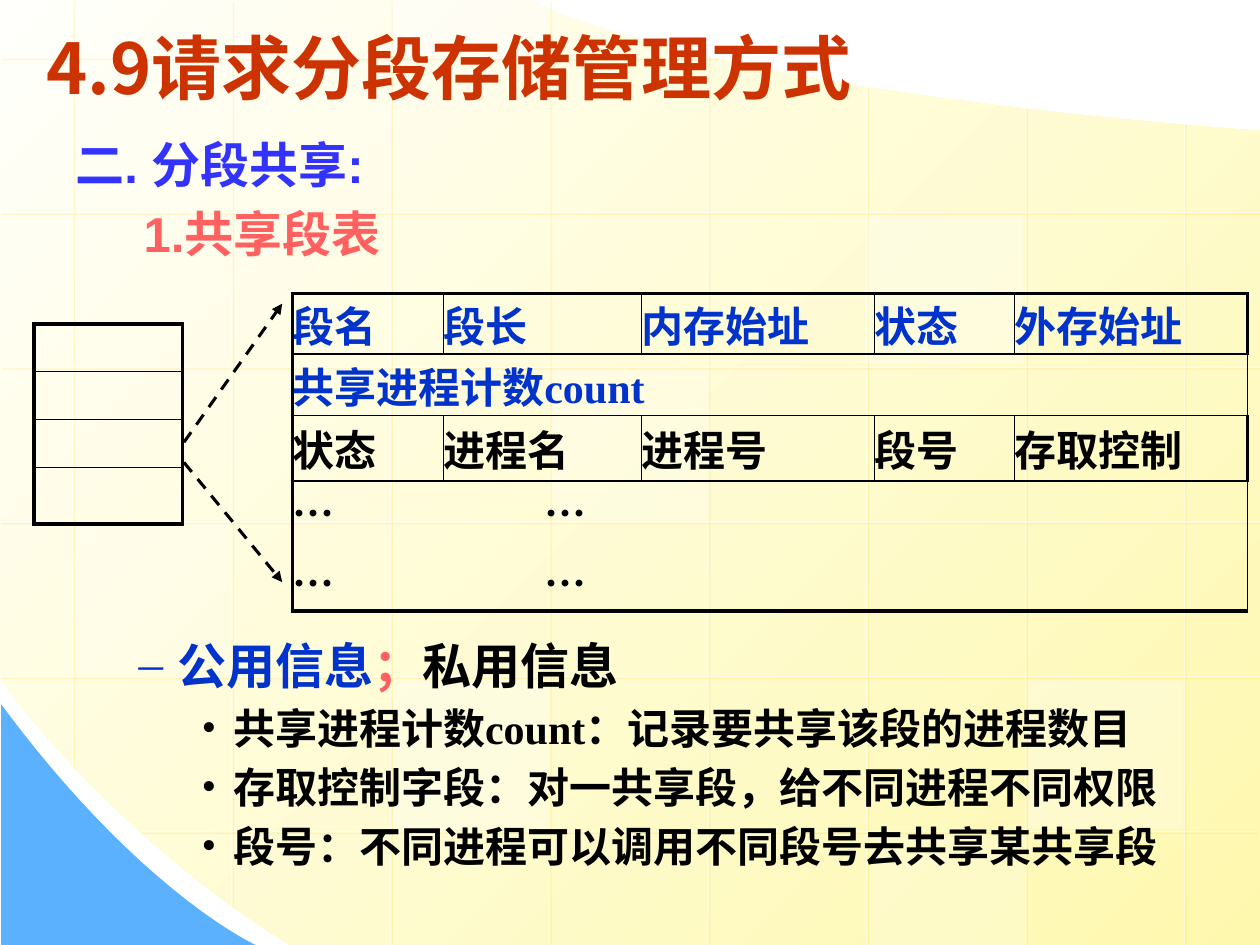
from lxml import etree
from pptx import Presentation
from pptx.dml.color import RGBColor
from pptx.enum.dml import MSO_LINE
from pptx.enum.shapes import MSO_CONNECTOR, MSO_SHAPE
from pptx.enum.text import MSO_ANCHOR
from pptx.oxml.ns import qn
from pptx.util import Inches, Pt

STRAIGHT, RECT = MSO_CONNECTOR.STRAIGHT, MSO_SHAPE.RECTANGLE
MIDDLE, DASH = MSO_ANCHOR.MIDDLE, MSO_LINE.DASH
CJK, SERIF, SANS = "Noto Sans CJK SC", "Times New Roman", "Arial"
BLACK, WHITE, BLUE, PINK = "000000", "FFFFFF", "0033CC", "FF6161"


def rgb(value):
    return RGBColor.from_string(value)


def add_xml(parent, tag, **attributes):
    return etree.SubElement(parent, qn(tag), attributes)


def set_alpha(fill, percent):
    color = fill.fore_color._xFill.find(qn("a:srgbClr"))
    add_xml(color, "a:alpha", val=str(percent * 1000))


def write(paragraph, text, size=24, font=SERIF, color=BLACK):
    run = paragraph.add_run()
    run.text = text
    run.font.size, run.font.bold, run.font.name = Pt(size), True, font
    run.font.color.rgb = rgb(color)
    add_xml(run._r.get_or_add_rPr(), "a:ea", typeface=CJK)


def set_indent(paragraph, left, hanging=0, bullet=None):
    props = paragraph._p.get_or_add_pPr()
    props.set("marL", str(Inches(left)))
    props.set("indent", str(-Inches(hanging)))
    if bullet:
        add_xml(props, "a:buFont", typeface=SERIF)
        add_xml(props, "a:buChar", char=bullet)


def add_text_frame(slide, left, top, width, height):
    frame = slide.shapes.add_textbox(
        Inches(left), Inches(top), Inches(width), Inches(height)).text_frame
    frame.word_wrap = True
    frame.margin_left = frame.margin_right = 0
    frame.margin_top = frame.margin_bottom = 0
    return frame


def add_paragraph(frame, first, pitch):
    paragraph = frame.paragraphs[0] if first else frame.add_paragraph()
    paragraph.line_spacing = Pt(pitch)
    return paragraph


def curve(p0, p1, p2, p3, steps=40):
    """Points along a cubic Bezier curve."""
    points = []
    for i in range(steps + 1):
        t = i / steps
        weights = ((1 - t) ** 3, 3 * t * (1 - t) ** 2, 3 * t * t * (1 - t), t ** 3)
        points.append(tuple(sum(w * p[axis] for w, p in zip(weights, (p0, p1, p2, p3)))
                            for axis in (0, 1)))
    return points


def add_outline(slide, points):
    start, *rest = [(Inches(x), Inches(y)) for x, y in points]
    builder = slide.shapes.build_freeform(*start)
    builder.add_line_segments(rest, close=True)
    shape = builder.convert_to_shape()
    shape.shadow.inherit = False
    shape.line.fill.background()
    return shape


def add_line(slide, start, end, color, width):
    line = slide.shapes.add_connector(
        STRAIGHT, *(Inches(v) for v in (*start, *end)))
    line.line.color.rgb = rgb(color)
    line.line.width = Pt(width)
    return line, add_xml(line._element.spPr, "a:effectLst")


def add_grid_line(slide, start, end):
    line, effects = add_line(slide, start, end, WHITE, 0.75)
    set_alpha(line.line.fill, 50)
    shadow = add_xml(effects, "a:outerShdw", dist=str(Pt(1.4)), dir="2700000")
    add_xml(add_xml(shadow, "a:srgbClr", val="FFCC00"), "a:alpha", val="34000")


def add_arrow(slide, start, end):
    arrow, _ = add_line(slide, start, end, BLACK, 1.75)
    arrow.line.dash_style = DASH
    add_xml(arrow.line._get_or_add_ln(), "a:tailEnd", type="triangle")


def add_tile(slide, left, top, alpha, height=1.18):
    tile = slide.shapes.add_shape(
        RECT, Inches(left), Inches(top), Inches(1.23), Inches(height))
    tile.shadow.inherit = False
    tile.line.fill.background()
    tile.fill.solid()
    tile.fill.fore_color.rgb = rgb(WHITE)
    set_alpha(tile.fill, alpha)


def draw_background(slide):
    sheet = add_outline(slide, [(10, 1.04), (10, 7.5),
                                *curve((2.3, 7.5), (0.86, 6.61), (0, 5.39), (0, 5.39)),
                                (0, 0),
                                *curve((4.21, 0), (4.21, 0), (5.37, 0.69), (10, 1.04))])
    sheet.fill.gradient()
    sheet.fill.gradient_angle = 315
    for stop, color in zip(sheet.fill.gradient_stops, ("FFFFFB", "FEF8AF")):
        stop.color.rgb = rgb(color)
    corner = add_outline(slide, [(0.01, 7.5),
                                 *curve((0.01, 5.59), (1.12, 7.09), (2.03, 7.5), (2.03, 7.5))])
    corner.fill.solid()
    corner.fill.fore_color.rgb = rgb("5CB1FE")

    # Grid lines end at the edges of the coloured sheet
    spans = [(0, 6.09), (0, 7.19), (0, 7.5), (0, 7.5),
             (0.43, 7.5), (0.68, 7.5), (0.85, 7.5), (0.98, 7.5)]
    for column, (top, bottom) in enumerate(spans):
        x = 0.58 + 1.26 * column
        add_grid_line(slide, (x, top), (x, bottom))
    for row, (left, right) in enumerate([(0, 5.68)] + [(0, 10)] * 4 + [(1.11, 9.97)]):
        y = 0.46 + 1.228 * row
        add_grid_line(slide, (right, y), (left, y))

    for left, top, alpha in [(4.38, 2.94, 25), (8.16, 5.4, 30), (0.6, 4.16, 20),
                             (3.12, 5.4, 30), (6.89, 1.71, 30)]:
        add_tile(slide, left, top, alpha)
    add_tile(slide, 6.9, 6.63, 20, height=0.87)
    add_tile(slide, 3.11, 0, 40, height=0.44)


def add_bordered_table(slide, left, top, widths, heights):
    """Clear table with a heavy frame and thin inner lines."""
    table = slide.shapes.add_table(
        len(heights), len(widths), Inches(left), Inches(top),
        Inches(sum(widths)), Inches(sum(heights))).table
    table.first_row = table.horz_banding = False
    for column, width in zip(table.columns, widths):
        column.width = Inches(width)
    for r, height in enumerate(heights):
        table.rows[r].height = Inches(height)
        for c in range(len(widths)):
            cell = table.cell(r, c)
            cell.margin_left = cell.margin_right = 0
            cell.margin_top = cell.margin_bottom = 0
            cell.vertical_anchor = MIDDLE
            props = cell._tc.get_or_add_tcPr()
            for tag, outer in (("a:lnL", c == 0), ("a:lnR", c == len(widths) - 1),
                               ("a:lnT", r == 0), ("a:lnB", r == len(heights) - 1)):
                border = add_xml(props, tag, w=str(Pt(2.25 if outer else 1)))
                add_xml(add_xml(border, "a:solidFill"), "a:srgbClr", val=BLACK)
            cell.fill.background()
    return table


def add_segment_table(slide):
    table = add_bordered_table(slide, 2.32, 2.33, [1.2, 1.57, 1.85, 1.11, 1.85],
                               [0.48, 0.49, 0.52, 1.03])
    rows = [(["段名", "段长", "内存始址", "状态", "外存始址"], BLUE),
            (["共享进程计数count"], BLUE),
            (["状态", "进程名", "进程号", "段号", "存取控制"], BLACK)]
    for r, (labels, color) in enumerate(rows):
        for c, label in enumerate(labels):
            write(table.cell(r, c).text_frame.paragraphs[0], label, color=color)
    for r in (1, 3):
        table.cell(r, 0).merge(table.cell(r, 4))
    # Two continuation lines, second mark on a tab stop
    entries = table.cell(3, 0).text_frame
    for paragraph in (entries.paragraphs[0], entries.add_paragraph()):
        tabs = add_xml(paragraph._p.get_or_add_pPr(), "a:tabLst")
        add_xml(tabs, "a:tab", pos=str(Inches(2)), algn="l")
        write(paragraph, "…\t…", font=CJK)
    entries.paragraphs[1].space_before = Pt(4.8)


def add_headings(slide):
    title = add_text_frame(slide, 0.37, 0.21, 8.8, 0.63)
    title.vertical_anchor = MIDDLE
    write(title.paragraphs[0], "4.9请求分段存储管理方式", size=40, font=CJK, color="CC3300")
    headings = add_text_frame(slide, 0.6, 0.99, 8.9, 1.1)
    for i, (text, left, color) in enumerate([("二. 分段共享:", 0, "3333FF"),
                                             ("1.共享段表", 0.54, PINK)]):
        paragraph = add_paragraph(headings, i == 0, 39.4)
        set_indent(paragraph, left)
        write(paragraph, text, size=28, font=SANS, color=color)


def add_notes_list(slide):
    notes = add_text_frame(slide, 0.6, 5.04, 8.95, 1.9)
    kinds = add_paragraph(notes, True, 33.7)
    set_indent(kinds, 0.81, 0.31, "–")
    for text, color in [("公用信息", BLUE), ("；", PINK), ("私用信息", BLACK)]:
        write(kinds, text, size=28, font=SANS, color=color)
    for text in ["共享进程计数count：记录要共享该段的进程数目",
                 "存取控制字段：对一共享段，给不同进程不同权限",
                 "段号：不同进程可以调用不同段号去共享某共享段"]:
        paragraph = add_paragraph(notes, False, 33.7)
        set_indent(paragraph, 1.25, 0.25, "•")
        write(paragraph, text)


def main():
    deck = Presentation()
    deck.slide_width, deck.slide_height = Inches(10), Inches(7.5)
    slide = deck.slides.add_slide(deck.slide_layouts[6])
    draw_background(slide)
    add_headings(slide)
    add_segment_table(slide)
    # Shared list on the left, one entry expanded by the arrows
    add_bordered_table(slide, 0.27, 2.57, [1.18], [0.38, 0.38, 0.38, 0.45])
    add_arrow(slide, (1.46, 3.51), (2.24, 2.41))
    add_arrow(slide, (1.46, 3.67), (2.24, 4.62))
    add_notes_list(slide)
    deck.save("out.pptx")


if __name__ == "__main__":
    main()
